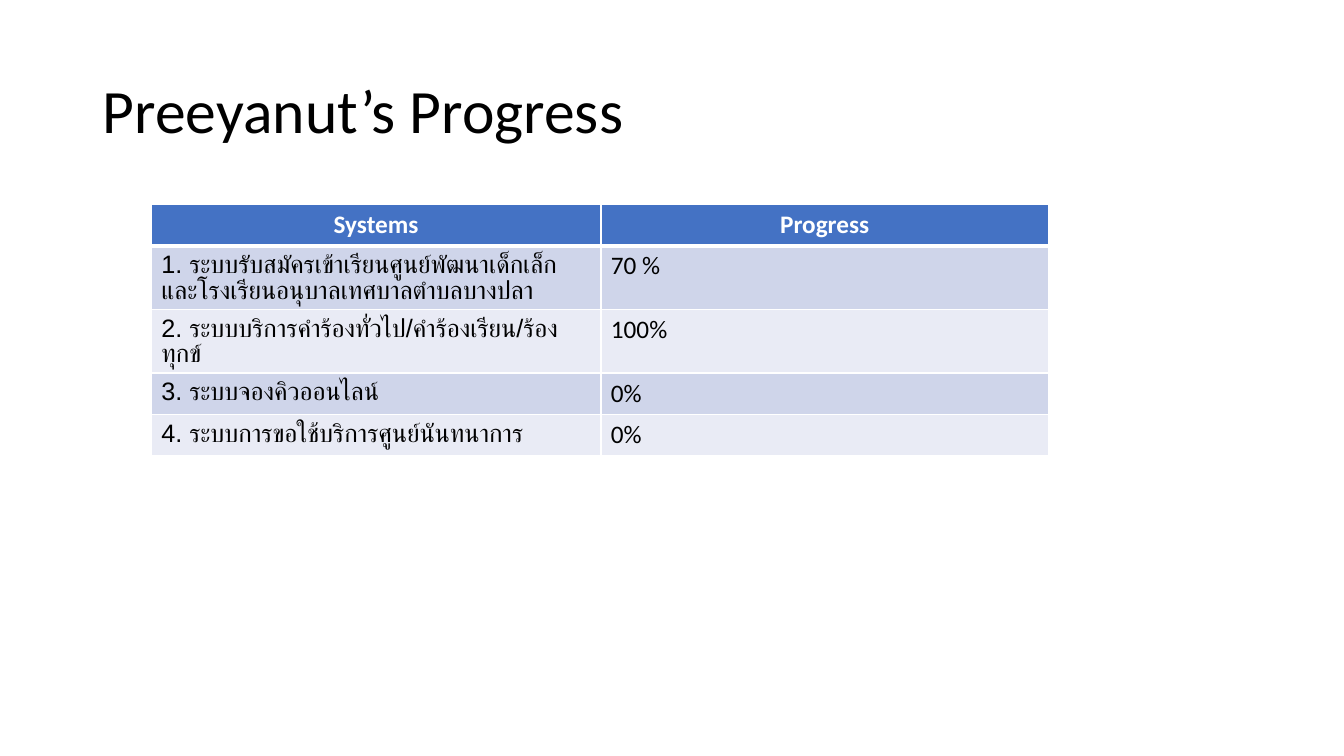
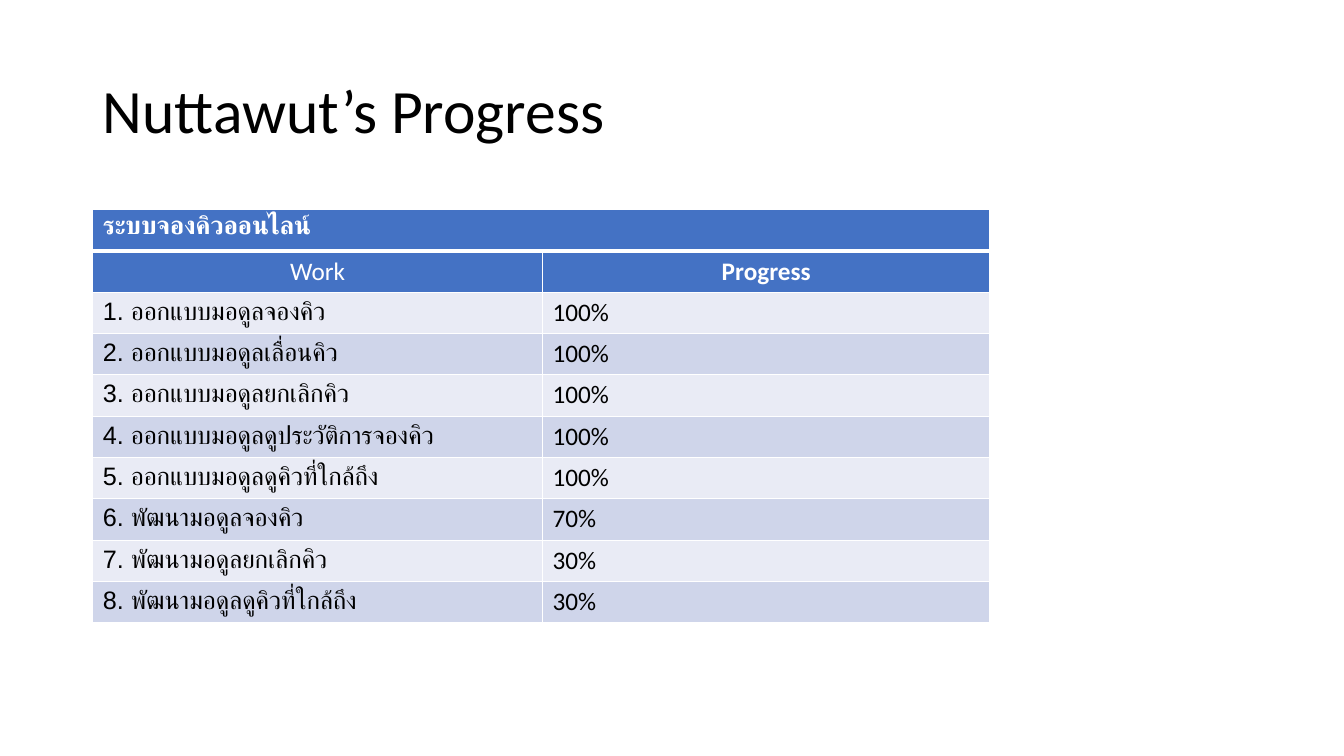
from lxml import etree
from pptx import Presentation
from pptx import util as u
from pptx.dml.color import RGBColor
from pptx.enum import text
from pptx.oxml import ns

SCALE = 9144


def px(n):
    return u.Emu(n * SCALE)


def color(code):
    return RGBColor.from_string(code)


class Deck:
    BODY, THAI = "Calibri", "Arial"
    BLACK, WHITE, BLUE = "000000", "FFFFFF", "4472C4"
    BANDS = "E9EBF5", "CFD5EA"
    COLS = 446, 444
    ROW = 41

    def __init__(self):
        self.prs = Presentation()
        self.prs.slide_width = px(1333)
        self.prs.slide_height = px(750)
        self.slide = None

    def style(self, run, size, ink, font, bold=False):
        run.font.size = u.Pt(size)
        run.font.name = font
        run.font.bold = bold
        run.font.color.rgb = color(ink)

    def page(self, title):
        self.slide = self.prs.slides.add_slide(self.prs.slide_layouts[5])
        box = self.slide.shapes.title
        box.left, box.top, box.width, box.height = map(px, (92, 40, 1150, 145))
        frame = box.text_frame
        frame.text = title
        frame.word_wrap = True
        frame.vertical_anchor = text.MSO_ANCHOR.MIDDLE
        para = frame.paragraphs[0]
        para.alignment = text.PP_ALIGN.LEFT
        para.line_spacing = 0.9
        self.style(para.runs[0], 44, self.BLACK, self.BODY)

    def border(self, cell, row):
        props = cell._tc.get_or_add_tcPr()
        wide = {0: "B", 1: "T"}.get(row)
        for side in "LRTB":
            width = u.Pt(3 if side == wide else 1)
            line = etree.SubElement(props, ns.qn("a:ln" + side), w=str(width))
            fill = etree.SubElement(line, ns.qn("a:solidFill"))
            etree.SubElement(fill, ns.qn("a:srgbClr"), val=self.WHITE)

    def paint(self, cell, row, fill):
        self.border(cell, row)
        cell.fill.solid()
        cell.fill.fore_color.rgb = color(fill)

    def head(self, cell, label, bold=True, center=True):
        cell.text_frame.text = label
        para = cell.text_frame.paragraphs[0]
        para.alignment = text.PP_ALIGN.CENTER if center else text.PP_ALIGN.LEFT
        self.style(para.runs[0], 18, self.WHITE, self.BODY, bold)

    def entry(self, cell, parts, fonts):
        para = cell.text_frame.paragraphs[0]
        for part, font in zip(parts, fonts):
            run = para.add_run()
            run.text = part
            self.style(run, 18, self.BLACK, font)

    def table(self, left, top, labels, items, banner=None):
        heads = 2 if banner else 1
        count = heads + len(items)
        frame = self.slide.shapes.add_table(
            count, 2, px(left), px(top), px(sum(self.COLS)), px(count * self.ROW))
        grid = frame.table
        for col, width in zip(grid.columns, self.COLS):
            col.width = px(width)
        for i, row in enumerate(grid.rows):
            row.height = px(self.ROW)
            for cell in row.cells:
                self.paint(cell, i, self.BLUE if i < heads else self.BANDS[i % 2])
        if banner:
            grid.cell(0, 0).merge(grid.cell(0, 1))
            self.head(grid.cell(0, 0), banner, center=False)
        for j, (label, bold) in enumerate(labels):
            self.head(grid.cell(heads - 1, j), label, bold)
        for i, (*parts, done) in enumerate(items, heads):
            self.entry(grid.cell(i, 0), parts, (self.THAI, self.BODY))
            self.entry(grid.cell(i, 1), [done], [self.BODY])

    def save(self):
        self.prs.save("out.pptx")


SYSTEMS = [
    ("1. ระบบรับสมัครเข้าเรียนศูนย์พัฒนาเด็กเล็ก และโรงเรียนอนุบาลเทศบาลตำบลบางปลา", "70 %"),
    ("2. ระบบบริการคำร้องทั่วไป/คำร้องเรียน/ร้องทุกข์", "100%"),
    ("3. ระบบจองคิวออนไลน์", "0%"),
    ("4. ระบบการขอใช้บริการศูนย์นันทนาการ", "0%"),
]
TASKS = [
    ("1. ออกแบบ", "มอดูลจองคิว", "100%"),
    ("2. ออกแบบ", "มอดูลเลื่อนคิว", "100%"),
    ("3. ออกแบบ", "มอดูลยกเลิกคิว", "100%"),
    ("4. ออกแบบ", "มอดูลดูประวัติการจองคิว", "100%"),
    ("5. ออกแบบ", "มอดูลดูคิวที่ใกล้ถึง", "100%"),
    ("6. พัฒนา", "มอดูลจองคิว", "70%"),
    ("7. พัฒนา", "มอดูลยกเลิกคิว", "30%"),
    ("8. พัฒนา", "มอดูลดูคิวที่ใกล้ถึง", "30%"),
]


def main():
    deck = Deck()
    deck.page("Preeyanut’s Progress")
    deck.table(150, 203, [("Systems", True), ("Progress", True)], SYSTEMS)
    deck.page("Nuttawut’s Progress")
    deck.table(92, 208, [("Work", False), ("Progress", True)], TASKS,
               banner="ระบบจองคิวออนไลน์")
    deck.save()


if __name__ == "__main__":
    main()
